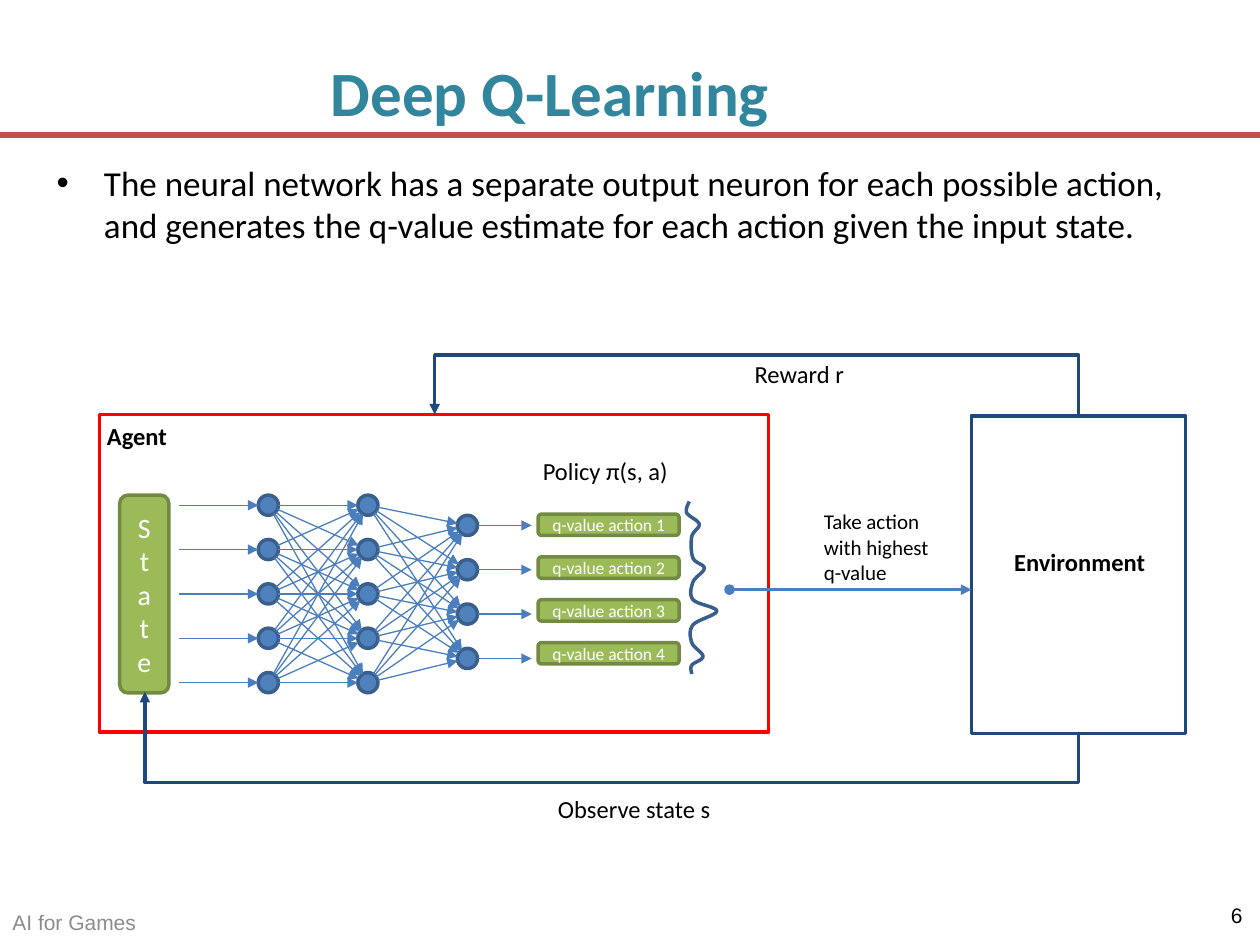
import dataclasses
import itertools
import math
import typing

import lxml.etree
import pptx
import pptx.dml.color
import pptx.enum.shapes
import pptx.enum.text
import pptx.oxml.ns
import pptx.util

KINDS = pptx.enum.shapes.MSO_SHAPE
LINKS = pptx.enum.shapes.MSO_CONNECTOR
ALIGN = pptx.enum.text.PP_ALIGN
ANCHOR = pptx.enum.text.MSO_ANCHOR
FIT = pptx.enum.text.MSO_AUTO_SIZE
COLS, ROWS = 100, 75  # the slide grid; one cell is a tenth of an inch
CELL = pptx.util.Inches(0.1)


@dataclasses.dataclass(frozen=True)
class Theme:
    """Colours, fonts, type sizes and line widths."""
    font: str = "Calibri"
    plain: str = "Arial"
    black: str = "000000"
    white: str = "FFFFFF"
    grey: str = "8C8C8C"
    teal: str = "31859C"
    rust: str = "C0504D"
    red: str = "FF0000"
    navy: str = "1F497D"
    blue: str = "4F81BD"
    rim: str = "3A5F8C"
    edge: str = "4B7EBC"
    green: str = "9BBB59"
    moss: str = "738A42"
    title: float = 36
    body: float = 20
    state: float = 16
    label: float = 14
    small: float = 12
    chip: float = 10
    thick: float = 3.5
    line: float = 2
    thin: float = 0.75


class Box(typing.NamedTuple):
    """A frame in grid columns and rows."""
    left: float
    top: float
    width: float
    height: float


class Spot(typing.NamedTuple):
    """A point in grid columns and rows."""
    x: float
    y: float


@dataclasses.dataclass(frozen=True)
class Label:
    """A free-standing piece of text."""
    text: str
    box: Box
    size: float = 14
    bold: bool = False
    wrap: bool = False
    grow: bool = True
    font: str = "Calibri"
    tint: str = "000000"
    align: typing.Any = ALIGN.LEFT


@dataclasses.dataclass(frozen=True)
class Layer:
    """A column of neurons."""
    x: float
    top: float
    count: int

    def spots(self) -> list[Spot]:
        """Return the neuron centres."""
        return [Spot(self.x, self.top + STEP * i) for i in range(self.count)]


THEME = Theme()
STEP, RADIUS = 3.52, 0.8
LAYERS = [Layer(21.3, 40.1, 5), Layer(29.2, 40.1, 5), Layer(37.1, 41.7, 4)]
LABELS = [
    Label("AI for Games", Box(0, 71.3, 46.1, 3.7), THEME.small, wrap=True, grow=False,
          font=THEME.plain, tint=THEME.grey),
    Label("6", Box(76.3, 70.6, 23.3, 4), THEME.small, wrap=True, grow=False,
          font=THEME.plain, align=ALIGN.RIGHT),
    Label("Agent", Box(7.5, 32.9, 6.8, 3.4), bold=True),
    Label("Environment", Box(79.5, 42.9, 12.5, 3.4), bold=True),
    Label("Take action with highest q-value", Box(64.4, 39.9, 10.7, 7.1), THEME.small, wrap=True),
    Label("Observe state s", Box(43.3, 62.5, 14.2, 3.4)),
    Label("Reward r", Box(58.9, 28, 9.2, 3.4)),
    Label("Policy π(s, a)", Box(42.1, 35.7, 12.3, 3.4), wrap=True),
]
WAVE = [Spot(*p) for p in (
    (54.7, 39.8), (54.5, 40.7), (55.5, 41.6), (54.9, 42.6), (55, 44.3), (55.9, 45.1), (55, 46.2),
    (55, 47.6), (56.9, 48.5), (55, 49.6), (54.9, 51), (55.8, 52.1), (54.9, 52.8), (54.9, 53.5))]


def cells(*spans: float) -> list[int]:
    """Turn grid lengths into slide units."""
    return [round(span * CELL) for span in spans]


def rgb(tint: str) -> pptx.dml.color.RGBColor:
    """Return a colour from its hex code."""
    return pptx.dml.color.RGBColor.from_string(tint)


def style(frame, size: float, tint: str, font: str = THEME.font, bold: bool = False,
          align=ALIGN.LEFT, anchor=ANCHOR.TOP) -> None:
    """Format all the text in a frame."""
    frame.vertical_anchor = anchor
    for para in frame.paragraphs:
        para.alignment = align
        for run in para.runs:
            run.font.size, run.font.name = pptx.util.Pt(size), font
            run.font.bold = bold
            run.font.color.rgb = rgb(tint)


def paint(shape, fill: str | None, line: str) -> None:
    """Set the fill and outline of a shape and drop its shadow."""
    shape.shadow.inherit = False
    if fill:
        shape.fill.solid()
        shape.fill.fore_color.rgb = rgb(fill)
    else:
        shape.fill.background()
    shape.line.color.rgb = rgb(line)
    shape.line.width = pptx.util.Pt(THEME.line)


def block(slide, kind, box: Box, fill: str | None, line: str):
    """Add a preset shape."""
    shape = slide.shapes.add_shape(kind, *cells(*box))
    paint(shape, fill, line)
    return shape


def write(slide, label: Label) -> None:
    """Add a text box."""
    frame = slide.shapes.add_textbox(*cells(*label.box)).text_frame
    frame.text, frame.word_wrap = label.text, label.wrap
    frame.auto_size = FIT.SHAPE_TO_FIT_TEXT if label.grow else FIT.NONE
    style(frame, label.size, label.tint, label.font, label.bold, label.align,
          ANCHOR.TOP if label.grow else ANCHOR.MIDDLE)


def link(slide, start: Spot, end: Spot, tint: str = THEME.edge, width: float = THEME.thin,
         head: str = "", tail: str = "triangle", kind=LINKS.STRAIGHT):
    """Add a line with optional ends."""
    line = slide.shapes.add_connector(kind, *cells(*start, *end))
    line.line.color.rgb, line.line.width = rgb(tint), pptx.util.Pt(width)
    qn, props = pptx.oxml.ns.qn, line.element.spPr
    for tag, form in (("a:headEnd", head), ("a:tailEnd", tail)):
        if form:
            lxml.etree.SubElement(props.find(qn("a:ln")), qn(tag), type=form)
    lxml.etree.SubElement(props, qn("a:effectLst"))
    return line


def loop(slide, start: Spot, end: Spot, level: float) -> None:
    """Add an elbow arrow that runs leftward along a given row."""
    wide, high = abs(end.y - start.y), abs(end.x - start.x)
    left, top = (start.x + end.x - wide) / 2, (start.y + end.y - high) / 2
    line = link(slide, Spot(left + wide, top), Spot(left, top + high), THEME.navy,
                THEME.line, kind=LINKS.ELBOW)
    qn, props = pptx.oxml.ns.qn, line.element.spPr
    props.find(qn("a:xfrm")).set("rot", str(90 * 60000))
    geom = props.find(qn("a:prstGeom"))
    guides = geom.find(qn("a:avLst"))
    if guides is None:
        guides = lxml.etree.SubElement(geom, qn("a:avLst"))
    bend = round((level - start.y) / (end.y - start.y) * 100000)
    lxml.etree.SubElement(guides, qn("a:gd"), name="adj1", fmla=f"val {bend}")


def mesh(slide, left: Layer, right: Layer) -> None:
    """Join each neuron of one layer to each of the next, rim to rim."""
    for a, b in itertools.product(left.spots(), right.spots()):
        turn = math.atan2(b.y - a.y, b.x - a.x)
        dx, dy = RADIUS * math.cos(turn), RADIUS * math.sin(turn)
        link(slide, Spot(a.x + dx, a.y + dy), Spot(b.x - dx, b.y - dy))


def curve(slide, knots: list[Spot], parts: int = 8) -> None:
    """Draw a smooth open line through the knots."""
    ends = [knots[0], *knots, knots[-1]]
    trail = []
    for a, b, c, d in zip(ends, ends[1:], ends[2:], ends[3:]):
        for t in (i / parts for i in range(1, parts + 1)):
            trail.append(cells(*(
                (2 * q + (r - p) * t + (2 * p - 5 * q + 4 * r - s) * t ** 2
                 + (3 * q - p - 3 * r + s) * t ** 3) / 2 for p, q, r, s in zip(a, b, c, d))))
    pen = slide.shapes.build_freeform(*cells(*knots[0]))
    pen.add_line_segments(trail, close=False)
    paint(pen.convert_to_shape(), None, THEME.rim)


def holder(shape, box: Box, text: str):
    """Move and fill a placeholder, and return its frame."""
    shape.left, shape.top, shape.width, shape.height = cells(*box)
    shape.text_frame.text, shape.text_frame.auto_size = text, FIT.NONE
    return shape.text_frame


def main() -> None:
    """Build and save the slide."""
    deck = pptx.Presentation()
    deck.slide_width, deck.slide_height = cells(COLS, ROWS)
    slide = deck.slides.add_slide(deck.slide_layouts[1])
    link(slide, Spot(0, 10.7), Spot(COLS, 10.7), THEME.rust, THEME.thick, tail="")
    title, body = slide.placeholders
    style(holder(title, Box(5, 3, 77.3, 8.5), "Deep Q-Learning"), THEME.title, THEME.teal,
          bold=True, align=ALIGN.CENTER, anchor=ANCHOR.MIDDLE)
    style(holder(body, Box(3.5, 12.3, 90.6, 55.9),
                 "The neural network has a separate output neuron for each possible action, "
                 "and generates the q-value estimate for each action given the input state."),
          THEME.body, THEME.black)

    for spot in itertools.chain.from_iterable(layer.spots() for layer in LAYERS):
        block(slide, KINDS.OVAL, Box(spot.x - RADIUS, spot.y - RADIUS, 2 * RADIUS, 2 * RADIUS),
              THEME.blue, THEME.rim)
    for left, right in itertools.pairwise(LAYERS):
        mesh(slide, left, right)
    for spot in LAYERS[0].spots():
        link(slide, Spot(14.2, spot.y), Spot(spot.x - RADIUS, spot.y))
    for spot in LAYERS[-1].spots():
        link(slide, Spot(spot.x + RADIUS, spot.y), Spot(42.2, spot.y))

    chips = [("State", Box(9.5, 39.3, 3.9, 15.7), THEME.state)]
    chips += [(f"q-value action {i + 1}", Box(42.7, 40.8 + 3.4 * i, 11.2, 1.7), THEME.chip)
              for i in range(4)]
    for text, box, size in chips:
        frame = block(slide, KINDS.ROUNDED_RECTANGLE, box, THEME.green, THEME.moss).text_frame
        frame.text, frame.word_wrap = text, size == THEME.state
        style(frame, size, THEME.white, align=ALIGN.CENTER, anchor=ANCHOR.MIDDLE)

    block(slide, KINDS.RECTANGLE, Box(7.9, 32.9, 53.1, 25.2), None, THEME.red)
    block(slide, KINDS.RECTANGLE, Box(77.1, 33, 17, 25.2), None, THEME.navy)
    link(slide, Spot(57.9, 46.8), Spot(77.1, 46.8), width=THEME.line, head="oval")
    loop(slide, Spot(85.6, 58.2), Spot(11.5, 54.9), 62.1)
    loop(slide, Spot(85.6, 33), Spot(34.5, 32.9), 28.1)
    curve(slide, WAVE)
    for label in LABELS:
        write(slide, label)
    deck.save("out.pptx")


main()
